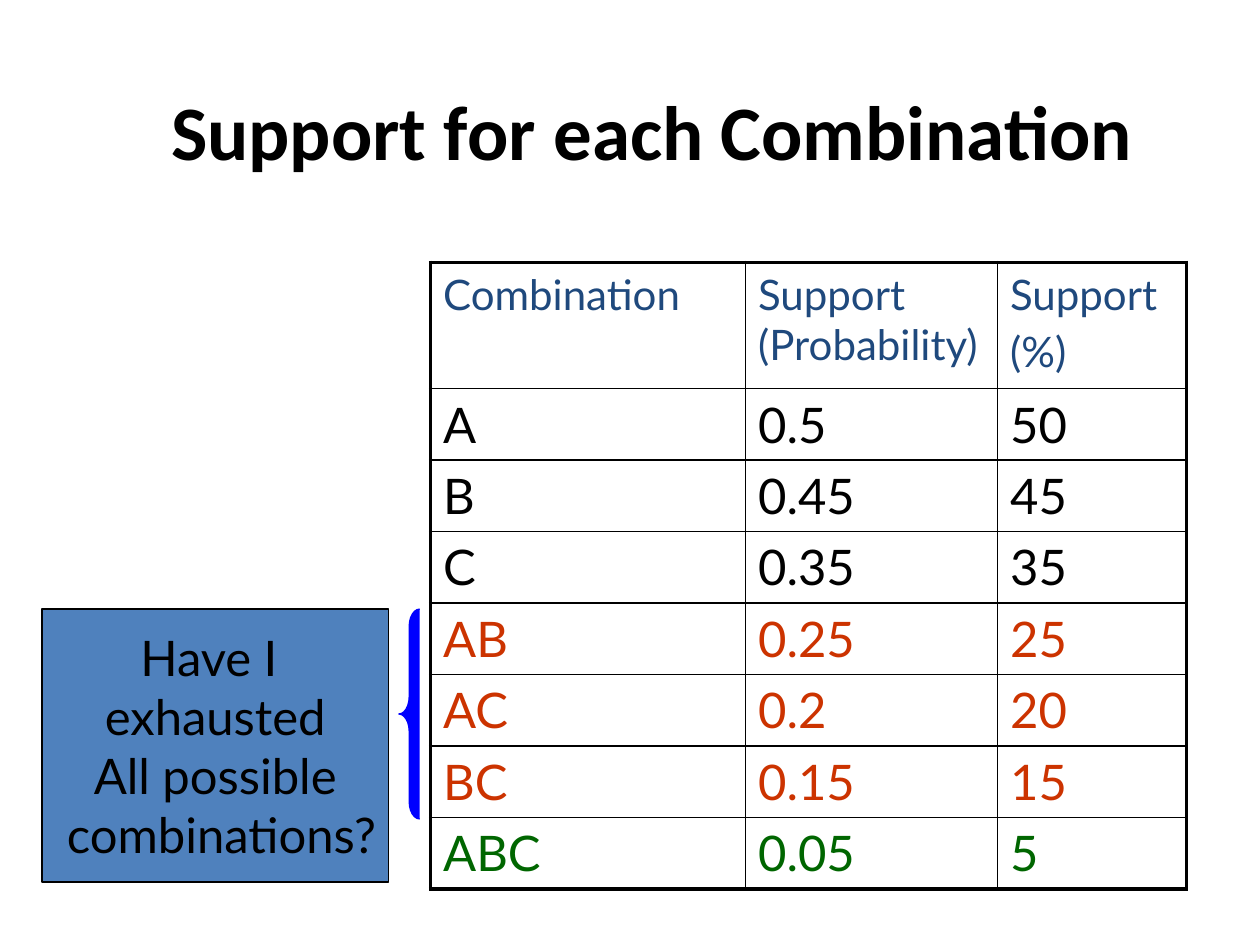
import pptx
import pptx.dml.color
import pptx.enum.shapes
import pptx.enum.text
import pptx.oxml.ns
import pptx.util
from lxml import etree
from pptx.util import Cm

BLACK, NAVY, RED, GREEN, BLUE, STEEL = (
    "000000", "1F497D", "CC3300", "006600", "0000FF", "4F81BD")
HEADINGS = ["Combination", "Support (Probability)", "Support\n(%)"]
SUPPORT_ROWS = [
    ("A", "0.5", "50", BLACK),
    ("B", "0.45", "45", BLACK),
    ("C", "0.35", "35", BLACK),
    ("AB", "0.25", "25", RED),
    ("AC", "0.2", "20", RED),
    ("BC", "0.15", "15", RED),
    ("ABC", "0.05", "5", GREEN),
]


def color(value):
    return pptx.dml.color.RGBColor.from_string(value)


def style_text(frame, size, value, font="Lato", bold=False, align=None, gap=0):
    for index, para in enumerate(frame.paragraphs):
        para.alignment = align
        if index:
            para.space_before = pptx.util.Pt(gap)
        for span in para.runs:
            span.font.name = font
            span.font.size = pptx.util.Pt(size)
            span.font.bold = bold
            span.font.color.rgb = color(value)


def paint(shape, fill, line):
    shape.shadow.inherit = False
    shape.fill.solid()
    shape.fill.fore_color.rgb = color(fill)
    shape.line.color.rgb = color(line)
    shape.line.width = pptx.util.Pt(0.75)


def set_borders(cell, widths):
    """Draw the left, right, top and bottom lines, widths in points."""
    properties = cell._tc.get_or_add_tcPr()
    for index, (side, width) in enumerate(zip("LRTB", widths)):
        line = etree.Element(pptx.oxml.ns.qn(f"a:ln{side}"), w=str(pptx.util.Pt(width)))
        fill = etree.SubElement(line, pptx.oxml.ns.qn("a:solidFill"))
        etree.SubElement(fill, pptx.oxml.ns.qn("a:srgbClr"), val=BLACK)
        properties.insert(index, line)


def add_title(page, left, top, width, height):
    box = page.shapes.add_textbox(left, top, width, height)
    frame = box.text_frame
    frame.word_wrap = True
    frame.vertical_anchor = pptx.enum.text.MSO_ANCHOR.MIDDLE
    frame.text = "Support for each Combination"
    style_text(frame, 44, BLACK, font="Calibri", bold=True)


def add_support_table(page, left, top, width, height):
    rows = [(*HEADINGS, NAVY)] + SUPPORT_ROWS
    last_row, last_column = len(rows) - 1, len(HEADINGS) - 1
    table = page.shapes.add_table(
        len(rows), len(HEADINGS), left, top, width, height).table
    table.first_row = table.horz_banding = False

    # Columns share the width 5 : 4 : 3; the body rows are equal
    for column, share in zip(table.columns, (5, 4, 3)):
        column.width = int(width * share / 12)
    header_height = Cm(2.54)
    for index, row in enumerate(table.rows):
        row.height = int((height - header_height) / last_row) if index else header_height

    # Thick outer frame, thin inner lines
    for r, (*texts, value) in enumerate(rows):
        for c, text in enumerate(texts):
            cell = table.cell(r, c)
            cell.fill.background()
            cell.text_frame.text = text
            style_text(cell.text_frame, 28 if r else 24, value, gap=4)
            on_edge = (c == 0, c == last_column, r == 0, r == last_row)
            set_borders(cell, [2.25 if edge else 1 for edge in on_edge])


def add_question(page, left, top, width, height):
    # Question box
    box = page.shapes.add_shape(
        pptx.enum.shapes.MSO_SHAPE.RECTANGLE, left, top, width, height)
    paint(box, STEEL, BLACK)
    frame = box.text_frame
    frame.word_wrap = False
    frame.vertical_anchor = pptx.enum.text.MSO_ANCHOR.MIDDLE
    frame.text = "Have I \nexhausted\nAll possible\n combinations?"
    style_text(frame, 28, BLACK, align=pptx.enum.text.PP_ALIGN.CENTER)

    # Brace around the two-item combinations
    brace = page.shapes.add_shape(
        pptx.enum.shapes.MSO_SHAPE.LEFT_BRACE,
        left + width + Cm(0.21), top, Cm(0.42), Cm(4.23))
    brace.adjustments[0] = 0.83
    paint(brace, BLUE, BLUE)


def main():
    deck = pptx.Presentation()
    deck.slide_width, deck.slide_height = Cm(25.4), Cm(19.05)
    page = deck.slides.add_slide(deck.slide_layouts[6])
    add_title(page, Cm(3.2), Cm(0.58), Cm(21.64), Cm(4.06))
    add_support_table(page, Cm(8.68), Cm(5.29), Cm(15.24), Cm(12.62))
    add_question(page, Cm(0.85), Cm(12.28), Cm(6.98), Cm(5.5))
    deck.save("out.pptx")


if __name__ == "__main__":
    main()
